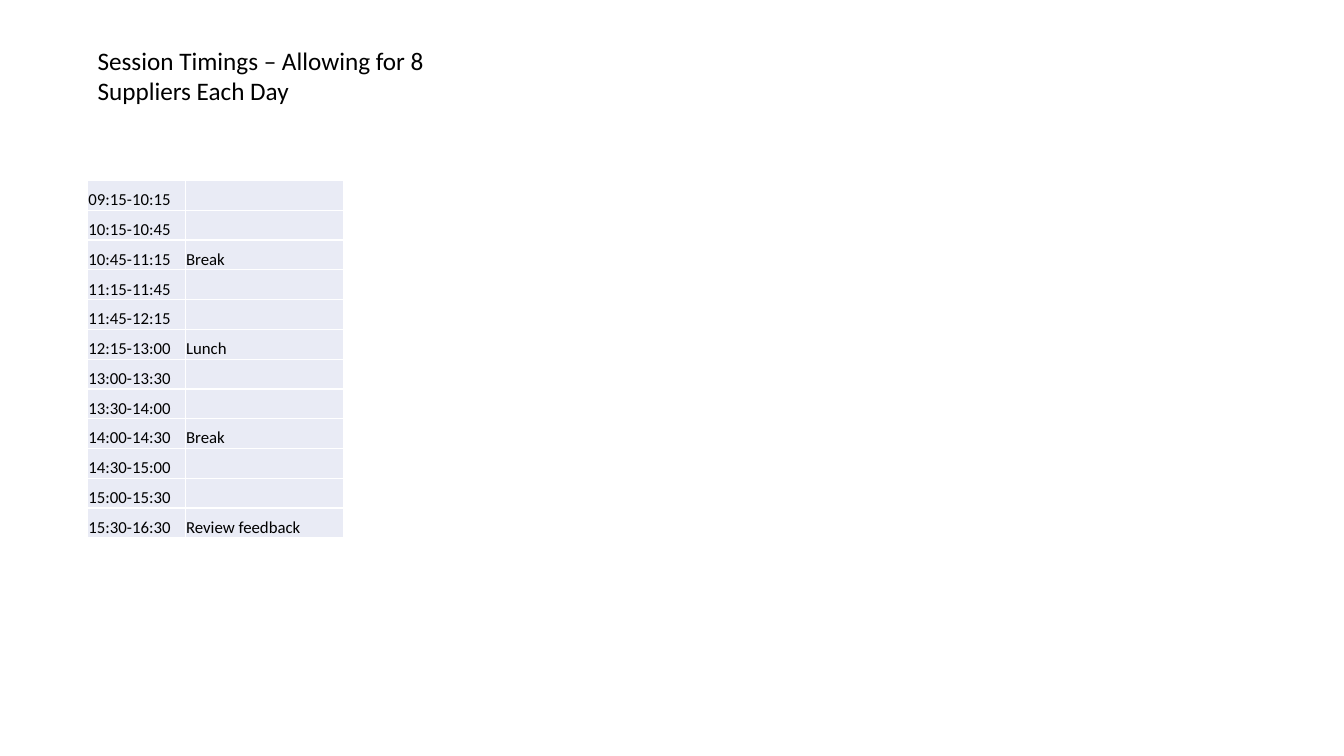
import pptx
import pptx.util
import pptx.dml.color
import pptx.enum.text
import pptx.oxml.ns
import lxml.etree

Cm = pptx.util.Cm
Pt = pptx.util.Pt
qn = pptx.oxml.ns.qn
BLACK = pptx.dml.color.RGBColor(0x00, 0x00, 0x00)
WHITE = pptx.dml.color.RGBColor(0xFF, 0xFF, 0xFF)
PALE = pptx.dml.color.RGBColor(0xE9, 0xEB, 0xF5)
FONT = "Calibri"
LEFT = 2.21
TIMES = ["09:15", "10:15", "10:45", "11:15", "11:45", "12:15", "13:00",
         "13:30", "14:00", "14:30", "15:00", "15:30", "16:30"]
EVENTS = {"10:45": "Break", "12:15": "Lunch", "14:00": "Break",
          "15:30": "Review feedback"}


def write(frame, text, size=12, color=BLACK):
    para = frame.paragraphs[0]
    if text:
        run = para.add_run()
        run.text = text
        run.font.name = FONT
        run.font.size = Pt(size)
        run.font.color.rgb = color
    else:
        lxml.etree.SubElement(para._p, qn("a:endParaRPr"), sz=str(size * 100))


def edge(cell, color=WHITE, width=1):
    props = cell._tc.get_or_add_tcPr()
    for spot, side in enumerate(("lnL", "lnR", "lnT", "lnB")):
        line = lxml.etree.Element(qn("a:" + side), w=str(Pt(width)))
        fill = lxml.etree.SubElement(line, qn("a:solidFill"))
        lxml.etree.SubElement(fill, qn("a:srgbClr"), val=str(color))
        props.insert(spot, line)


def style(cell, text):
    cell.margin_left = cell.margin_right = cell.margin_top = Cm(0.02)
    cell.margin_bottom = Cm(0)
    cell.vertical_anchor = pptx.enum.text.MSO_ANCHOR.BOTTOM
    cell.fill.solid()
    cell.fill.fore_color.rgb = PALE
    edge(cell)
    write(cell.text_frame, text)


def add_plan(slide, left, top, widths, height, rows):
    frame = slide.shapes.add_table(
        len(rows), len(widths), Cm(left), Cm(top),
        Cm(sum(widths)), Cm(height * len(rows)))
    table = frame.table
    table.first_row = False
    table.horz_banding = False
    for col, width in zip(table.columns, widths):
        col.width = Cm(width)
    for row, texts in zip(table.rows, rows):
        row.height = Cm(height)
        for cell, text in zip(row.cells, texts):
            style(cell, text)


def add_title(slide, text, left, top, width, height):
    box = slide.shapes.add_textbox(Cm(left), Cm(top), Cm(width), Cm(height))
    frame = box.text_frame
    frame.word_wrap = True
    frame.auto_size = pptx.enum.text.MSO_AUTO_SIZE.SHAPE_TO_FIT_TEXT
    write(frame, text, size=18)


def main():
    deck = pptx.Presentation()
    deck.slide_width = Cm(33.87)
    deck.slide_height = Cm(19.05)
    slide = deck.slides.add_slide(deck.slide_layouts[6])
    rows = [(f"{start}-{end}", EVENTS.get(start, ""))
            for start, end in zip(TIMES, TIMES[1:])]
    add_plan(slide, LEFT, 4.55, (2.46, 3.99), 0.75, rows)
    add_title(slide, "Session Timings – Allowing for 8 Suppliers Each Day",
              LEFT, 1.02, 9.42, 1.8)
    deck.save("out.pptx")


main()
